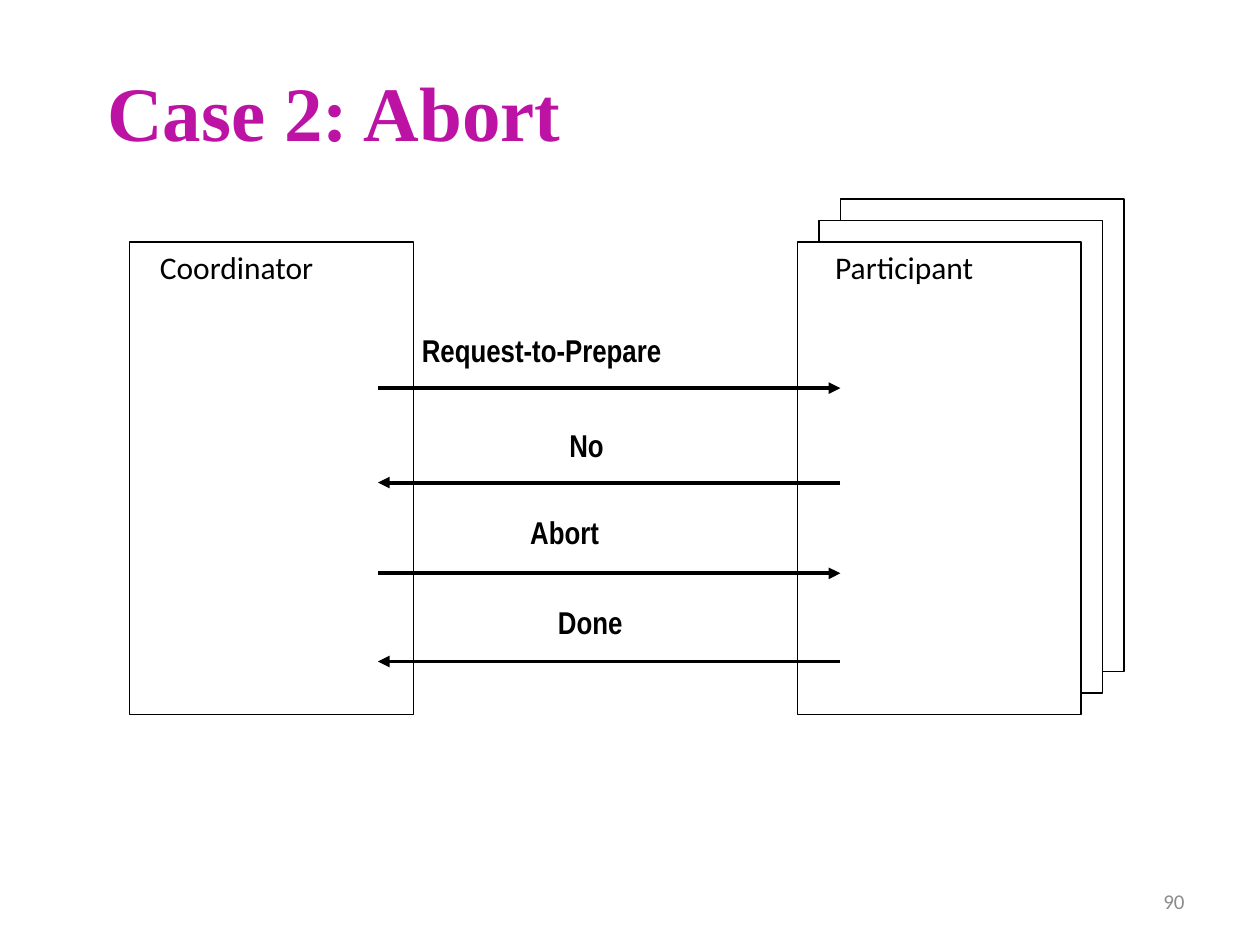
import pptx
import pptx.util
import pptx.dml.color
import pptx.enum.shapes
import pptx.enum.text
import pptx.oxml
import pptx.oxml.ns

Inches = pptx.util.Inches
Pt = pptx.util.Pt
Align = pptx.enum.text.PP_ALIGN
Anchor = pptx.enum.text.MSO_ANCHOR

COLORS = {"title": "BD13A5", "ink": "000000", "paper": "FFFFFF", "number": "8C8C8C"}


def color(name):
    return pptx.dml.color.RGBColor.from_string(COLORS[name])


class Board:
    """Holds the style and the current slide."""

    body = "Calibri"
    label = "Arial Narrow"
    head = "Times New Roman"

    def __init__(self, slide):
        self.slide = slide
        self.shapes = slide.shapes

    def letter(self, shape, text, font, size=18, ink="ink", bold=False,
               align=Align.LEFT, anchor=Anchor.TOP):
        """Put one styled paragraph into a shape."""
        frame = shape.text_frame
        frame.text = text
        frame.word_wrap = True
        frame.vertical_anchor = anchor
        para = frame.paragraphs[0]
        para.alignment = align
        para.font.name = font
        para.font.size = Pt(size)
        para.font.bold = bold
        para.font.color.rgb = color(ink)

    def title(self, text):
        shape = self.shapes.title
        shape.left, shape.top = Inches(0.75), Inches(0.25)
        shape.width, shape.height = Inches(8.5), Inches(1.25)
        self.letter(shape, text, self.head, 44, "title", True, anchor=Anchor.MIDDLE)

    def text(self, text, left, top, width, height=0.57, **style):
        box = self.shapes.add_textbox(
            Inches(left), Inches(top), Inches(width), Inches(height))
        self.letter(box, text, **style)

    def panel(self, left, top, filled=True):
        rect = self.shapes.add_shape(
            pptx.enum.shapes.MSO_SHAPE.RECTANGLE,
            Inches(left), Inches(top), Inches(2.25), Inches(3.75))
        rect.shadow.inherit = False
        if filled:
            rect.fill.solid()
            rect.fill.fore_color.rgb = color("paper")
        else:
            rect.fill.background()
        rect.line.color.rgb = color("ink")
        rect.line.width = Pt(0.75)

    def arrow(self, start, end, y):
        line = self.shapes.add_connector(
            pptx.enum.shapes.MSO_CONNECTOR.STRAIGHT,
            Inches(start), Inches(y), Inches(end), Inches(y))
        line.line.color.rgb = color("ink")
        line.line.width = Pt(2.25)
        names = pptx.oxml.ns.nsdecls("a")
        props = line.element.spPr
        props.find(pptx.oxml.ns.qn("a:ln")).append(
            pptx.oxml.parse_xml(f'<a:tailEnd {names} type="triangle"/>'))
        props.append(pptx.oxml.parse_xml(f"<a:effectLst {names}/>"))


def main():
    deck = pptx.Presentation()
    deck.slide_width, deck.slide_height = Inches(10), Inches(7.5)
    board = Board(deck.slides.add_slide(deck.slide_layouts[5]))
    board.title("Case 2: Abort")

    board.text("Coordinator", 1.17, 1.92, 2.08, font=board.body)
    board.panel(1.03, 1.92, filled=False)
    for step in (2, 1, 0):
        board.panel(6.33 + 0.17 * step, 1.92 - 0.17 * step)
    board.text("Participant", 6.53, 1.92, 1.88, font=board.body)

    # Messages alternate: coordinator to participant, then back
    near, far = 3, 6.67
    messages = [
        ("Request-to-Prepare", 3.25, 2.58, 3.16, 3.08),
        ("No", 4.42, 3.33, 0.63, 3.83),
        ("Abort", 4.11, 4.02, 1.05, 4.55),
        ("Done", 4.33, 4.74, 1, 5.25),
    ]
    for text, left, top, width, y in messages:
        board.text(text, left, top, width, font=board.label, bold=True)
        board.arrow(near, far, y)
        near, far = far, near

    board.text("90", 7.17, 6.95, 2.33, 0.4, font=board.body, size=12,
               ink="number", align=Align.RIGHT, anchor=Anchor.MIDDLE)
    deck.save("out.pptx")


if __name__ == "__main__":
    main()
